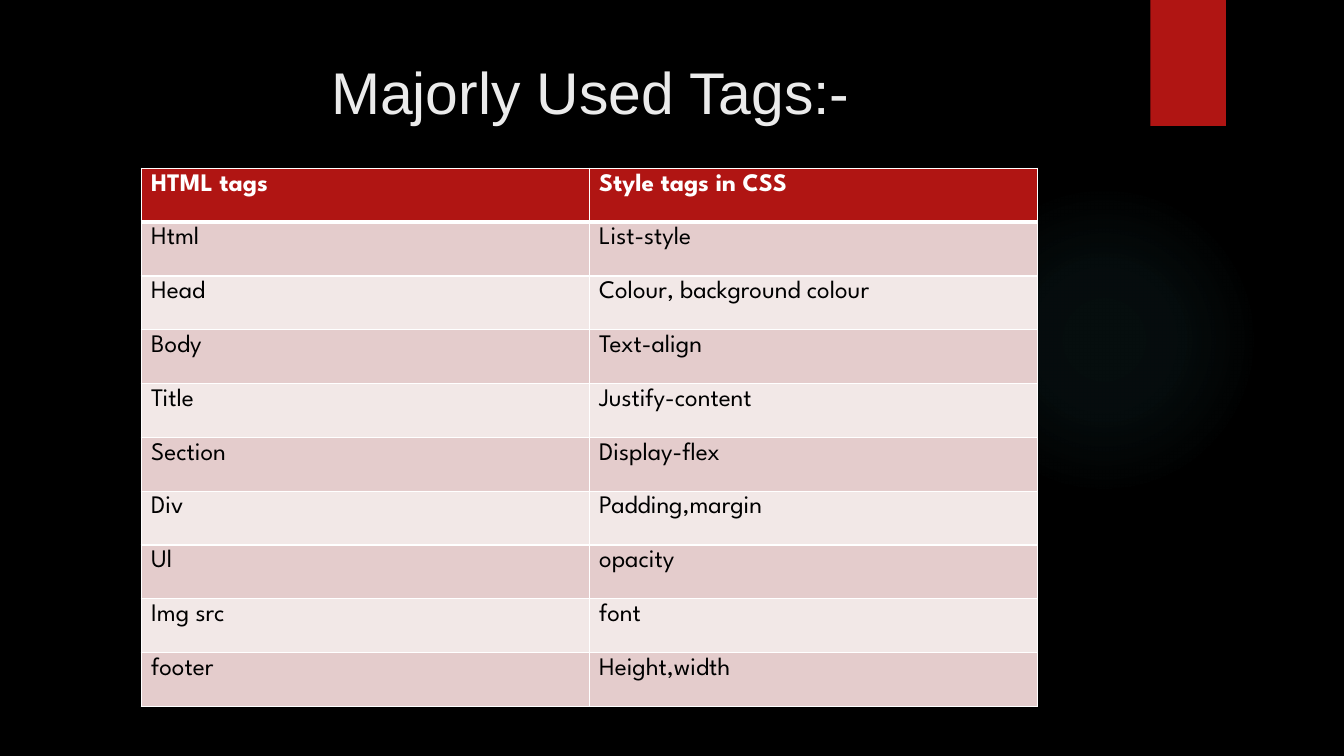
import pptx
import pptx.util
import pptx.dml.color
import pptx.enum.shapes
import pptx.enum.text
import pptx.oxml

Inch, Pt = pptx.util.Inches, pptx.util.Pt
RGB = pptx.dml.color.RGBColor.from_string
Kind = pptx.enum.shapes.MSO_SHAPE
NS = 'xmlns:a="http://schemas.openxmlformats.org/drawingml/2006/main"'
INK = {"back": "000000", "red": "B01513", "title": "EBEBEB", "white": "FFFFFF",
       "text": "000000", "dark": "E4CCCC", "light": "F2E8E7", "glow": "50B9C1"}
ROWS = [
    ("HTML tags", "Style tags in CSS"),
    ("Html", "List-style"),
    ("Head", "Colour, background colour"),
    ("Body", "Text-align"),
    ("Title", "Justify-content"),
    ("Section", "Display-flex"),
    ("Div", "Padding,margin"),
    ("Ul", "opacity"),
    ("Img src", "font"),
    ("footer", "Height,width"),
]


def paint(item, name):
    item.fill.solid()
    item.fill.fore_color.rgb = RGB(INK[name])


def edge(cell, spot, side, width):
    line = pptx.oxml.parse_xml(
        f'<a:ln{side} {NS} w="{Pt(width)}"><a:solidFill>'
        f'<a:srgbClr val="{INK["white"]}"/></a:solidFill></a:ln{side}>')
    cell._tc.get_or_add_tcPr().insert(spot, line)


# Slide and background
deck = pptx.Presentation()
deck.slide_width, deck.slide_height = Inch(13.33), Inch(7.5)
slide = deck.slides.add_slide(deck.slide_layouts[5])
paint(slide.background, "back")

# Soft glow on the right
glow = slide.shapes.add_shape(Kind.OVAL, Inch(9.41), Inch(1.83), Inch(3.08), Inch(3.08))
glow.shadow.inherit = False
glow.line.fill.background()
stops = "".join(
    f'<a:gs pos="{pos * 1000}"><a:srgbClr val="{INK["glow"]}">'
    f'<a:alpha val="{alpha * 1000}"/></a:srgbClr></a:gs>'
    for pos, alpha in ((0, 7), (36, 6), (69, 0)))
fade = pptx.oxml.parse_xml(
    f'<a:gradFill {NS}><a:gsLst>{stops}</a:gsLst><a:path path="circle">'
    '<a:fillToRect l="50000" t="50000" r="50000" b="50000"/></a:path></a:gradFill>')
glow._element.spPr.insert(2, fade)

# Red tab at the top
tab = slide.shapes.add_shape(Kind.RECTANGLE, Inch(11.41), 0, Inch(0.75), deck.slide_height // 6)
tab.shadow.inherit = False
tab.line.fill.background()
paint(tab, "red")

# Title
title = slide.shapes.title
title.left, title.top, title.width, title.height = map(Inch, (0.71, 0.5, 10.29, 1.53))
frame = title.text_frame
frame.text = "Majorly Used Tags:-"
frame.vertical_anchor = pptx.enum.text.MSO_ANCHOR.TOP
head = frame.paragraphs[0]
head.alignment = pptx.enum.text.PP_ALIGN.CENTER
head.font.name, head.font.size = "Arial", Pt(42)
head.font.color.rgb = RGB(INK["title"])

# Table of tags
grid = slide.shapes.add_table(len(ROWS), 2, Inch(1.4), Inch(1.67),
                              deck.slide_width * 2 // 3, Inch(5.34)).table
for r, row in enumerate(ROWS):
    band = "red" if r == 0 else "dark" if r % 2 else "light"
    for c, text in enumerate(row):
        cell = grid.cell(r, c)
        cell.text = text
        paint(cell, band)
        font = cell.text_frame.paragraphs[0].font
        font.name, font.size, font.bold = "League Spartan", Pt(18), r == 0
        font.color.rgb = RGB(INK["text" if r else "white"])
        for spot, side in enumerate("LRTB"):
            thick = (r, side) in ((0, "B"), (1, "T"))
            edge(cell, spot, side, 3 if thick else 1)

deck.save("out.pptx")
